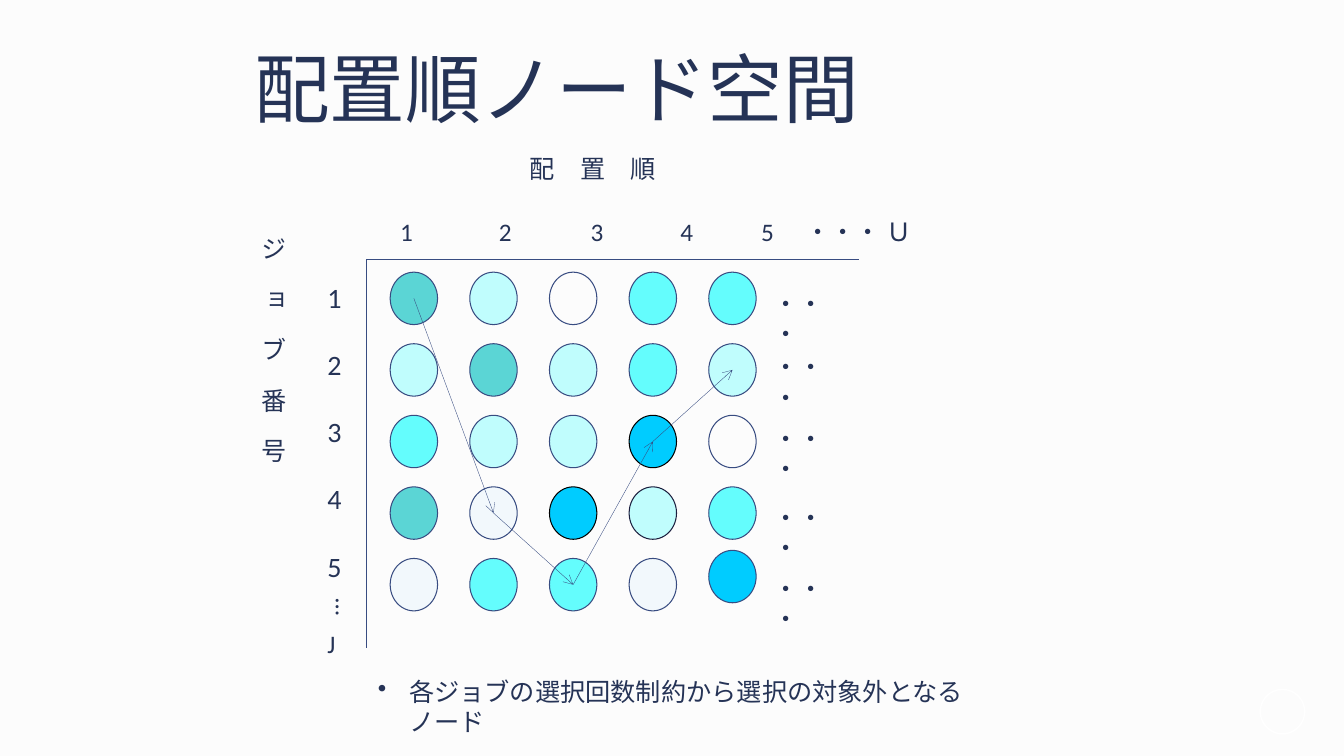
from lxml import etree
from pptx import Presentation
from pptx.dml.color import RGBColor
from pptx.enum.shapes import MSO_CONNECTOR as Link, MSO_SHAPE as Shape
from pptx.enum.text import MSO_ANCHOR as Anchor, MSO_AUTO_SIZE as Fit, PP_ALIGN as Align
from pptx.oxml.ns import qn
from pptx.util import Inches, Pt

INK, EDGE = "253356", "384C81"
STEP_X, STEP_Y = 0.79, 0.71
NODE_W, NODE_H = 0.47, 0.52

# Fill colour, opacity in percent, outline
KINDS = {
    "T": ("33CCCC", 80, EDGE),
    "L": ("66FFFF", 40, EDGE),
    "D": ("66FFFF", 40, "1B1E3E"),
    "C": ("00FFFF", 60, EDGE),
    "P": ("CCECFF", 20, EDGE),
    "B": ("00CCFF", 100, "000000"),
    "S": ("00CCFF", 100, EDGE),
    "-": (None, 100, EDGE),
}
NODES = ["TL-CC", "LTLCL", "CLLB-", "TPBDC", "PCCPS"]
ROUTE = [(0, 0), (1, 3), (2, 4), (3, 2), (4, 1)]


def color(code):
    return RGBColor.from_string(code)


def add(parent, tag, **attrs):
    node = etree.SubElement(parent, qn(tag))
    for name, value in attrs.items():
        node.set(name, str(value))
    return node


def write(frame, text, size=18, align=Align.LEFT, anchor=Anchor.TOP, **gaps):
    """Fill a frame, one paragraph a line; gaps are paragraph properties."""
    frame.word_wrap, frame.auto_size = True, Fit.NONE
    frame.vertical_anchor = anchor
    for i, line in enumerate(text.split("\n")):
        para = frame.add_paragraph() if i else frame.paragraphs[0]
        para.alignment = align
        for name, value in gaps.items():
            setattr(para, name, value)
        run = para.add_run()
        run.text = line
        run.font.name, run.font.size = "Calibri", Pt(size)
        run.font.color.rgb = color(INK)


def label(slide, box, text, upright=False, **format):
    frame = slide.shapes.add_textbox(*map(Inches, box)).text_frame
    write(frame, text, **format)
    if upright:
        frame._txBody.bodyPr.set("vert", "eaVert")
    return frame


def rule(slide, start, end, width=0.75, arrow=False):
    line = slide.shapes.add_connector(Link.STRAIGHT, *map(Inches, start + end))
    line.line.color.rgb = color(EDGE)
    line.line.width = Pt(width)
    if arrow:
        add(line.line._get_or_add_ln(), "a:tailEnd", type="arrow")
    add(line._element.spPr, "a:effectLst")


def oval(slide, box, fill, alpha, edge, width=0.75):
    node = slide.shapes.add_shape(Shape.OVAL, *map(Inches, box))
    node.shadow.inherit = False
    node.line.color.rgb = color(edge)
    node.line.width = Pt(width)
    if fill is None:
        node.fill.background()
        return
    node.fill.solid()
    node.fill.fore_color.rgb = color(fill)
    if alpha < 100:
        tint = node._element.spPr.find(qn("a:solidFill"))[0]
        add(tint, "a:alpha", val=alpha * 1000)


def heading(slide, box):
    title = slide.shapes.title
    title.left, title.top, title.width, title.height = map(Inches, box)
    title.text_frame.margin_left = Inches(0.85)
    write(title.text_frame, "配置順ノード空間", size=54, anchor=Anchor.MIDDLE,
          line_spacing=0.9)


def axes(slide, x, y):
    """Draw both axes from their corner, with titles and labels."""
    rule(slide, (x, y), (x + 4.88, y))
    rule(slide, (x, y), (x, y + 3.86))
    label(slide, (x + 0.23, y - 1.1, 4.02, 0.4), "配　置　順", align=Align.CENTER)
    head = label(slide, (x + 0.23, y - 0.47, 5.37, 0.4), "1\t2\t3\t4\t5\t・・・ Ｕ")
    tabs = add(head.paragraphs[0]._p.get_or_add_pPr(), "a:tabLst")
    for stop in (0.98, 1.89, 2.78, 3.58, 4.02):
        add(tabs, "a:tab", pos=Inches(stop), algn="l")
    label(slide, (x - 1.23, y - 0.32, 0.5, 4.49), "ジ　ョ　ブ　番　号", upright=True)
    label(slide, (x - 0.49, y + 0.16, 0.63, 3.13), "1\n2\n3\n4\n5", size=20,
          space_after=Pt(24))
    label(slide, (x - 0.51, y + 3.27, 0.5, 0.55), "…", upright=True)
    label(slide, (x - 0.49, y + 3.61, 0.5, 0.4), "J")


def grid(slide, x, y):
    """Draw the nodes from their top left corner, then the route over them."""
    for row, kinds in enumerate(NODES):
        for col, kind in enumerate(kinds):
            lift = 0.08 if kind == "S" else 0
            box = (x + col * STEP_X, y + row * STEP_Y - lift, NODE_W, NODE_H)
            oval(slide, box, *KINDS[kind])
    for drop in (0.11, 0.74, 1.45, 2.23, 2.94):
        label(slide, (x + 3.7, y + drop, 0.79, 0.71), "・・・")
    stops = [(x + col * STEP_X + NODE_W / 2, y + row * STEP_Y + NODE_H / 2)
             for col, row in ROUTE]
    for start, end in zip(stops, stops[1:]):
        rule(slide, start, end, width=0.25, arrow=True)


def note(slide, box):
    frame = label(slide, box, "各ジョブの選択回数制約から選択の対象外となるノード")
    props = frame.paragraphs[0]._p.get_or_add_pPr()
    props.set("marL", str(Inches(0.31)))
    props.set("indent", str(-Inches(0.31)))
    add(props, "a:buChar", char="•")


def main():
    deck = Presentation()
    deck.slide_width, deck.slide_height = Inches(13.33), Inches(7.5)
    slide = deck.slides.add_slide(deck.slide_layouts[5])
    slide.background.fill.solid()
    slide.background.fill.fore_color.rgb = color("FCFCFC")
    oval(slide, (12.5, 6.84, 0.44, 0.44), None, 100, "FFFFFF", width=1)
    heading(slide, (1.67, 0.3, 9, 1.25))
    axes(slide, 3.64, 2.57)
    grid(slide, 3.87, 2.7)
    note(slide, (3.65, 6.66, 6.44, 0.71))
    deck.save("out.pptx")


if __name__ == "__main__":
    main()
